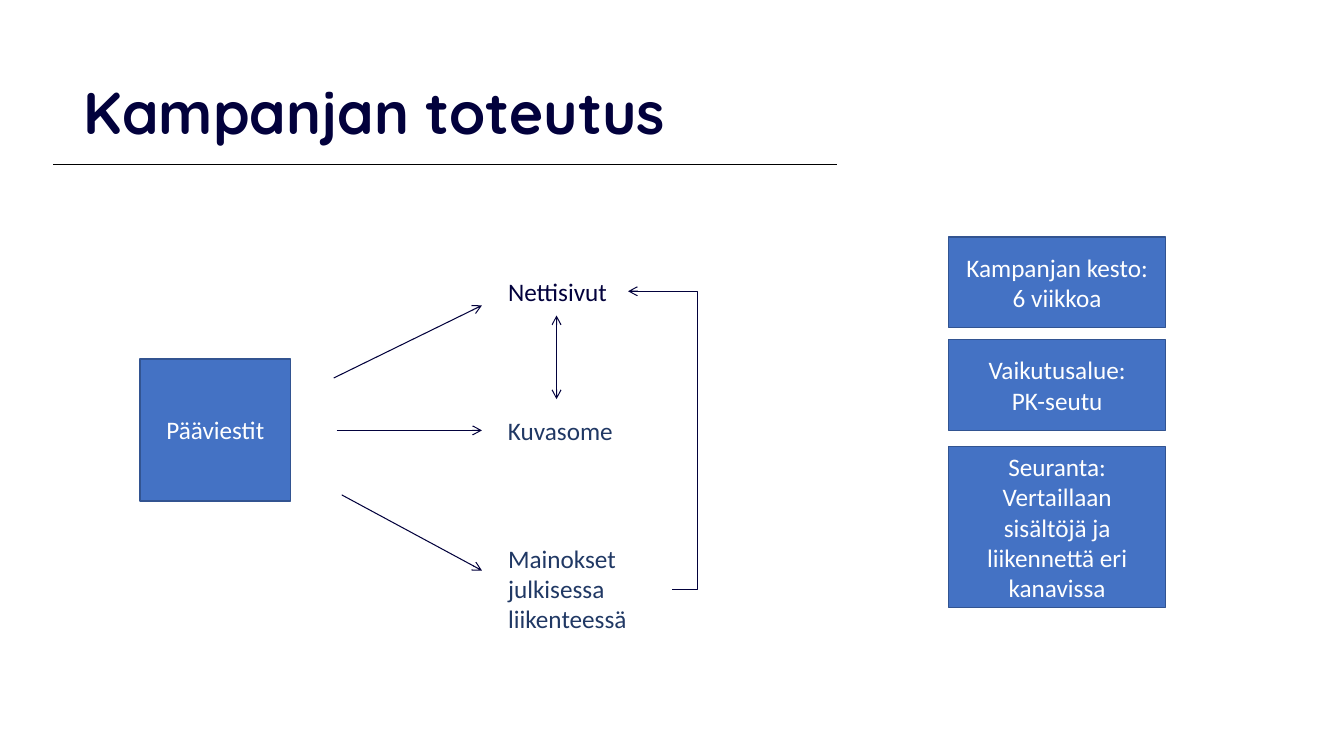
from dataclasses import dataclass

from lxml import etree
from pptx import Presentation
from pptx.dml.color import RGBColor
from pptx.enum import shapes, text
from pptx.oxml import ns
from pptx.util import Inches, Pt


@dataclass(frozen=True)
class Theme:
    navy: str = "02013C"
    blue: str = "203864"
    fill: str = "4472C4"
    edge: str = "325491"
    black: str = "000000"
    white: str = "FFFFFF"
    head: str = "Quicksand"
    body: str = "Calibri"
    big: int = 42
    size: int = 18


class Deck:
    def __init__(self, theme):
        self.theme = theme
        self.prs = Presentation()
        self.prs.slide_width = Inches(13.33)
        self.prs.slide_height = Inches(7.5)
        self.slide = self.prs.slides.add_slide(self.prs.slide_layouts[5])

    def put(self, frame, lines, color, align=text.PP_ALIGN.LEFT,
            anchor=text.MSO_ANCHOR.TOP, font=None, size=None, bold=False):
        frame.word_wrap = True
        frame.vertical_anchor = anchor
        for i, line in enumerate(lines):
            para = frame.add_paragraph() if i else frame.paragraphs[0]
            para.alignment = align
            run = para.add_run()
            run.text = line
            run.font.name = font or self.theme.body
            run.font.size = Pt(size or self.theme.size)
            run.font.bold = bold
            run.font.color.rgb = RGBColor.from_string(color)

    def title(self, line, x, y, w, h):
        shape = self.slide.shapes.title
        shape.left, shape.top, shape.width, shape.height = map(Inches, (x, y, w, h))
        self.put(shape.text_frame, [line], self.theme.navy,
                 anchor=text.MSO_ANCHOR.MIDDLE, font=self.theme.head,
                 size=self.theme.big, bold=True)
        shape.text_frame.paragraphs[0].line_spacing = 0.9

    def label(self, line, x, y, w, h, color):
        shape = self.slide.shapes.add_textbox(*map(Inches, (x, y, w, h)))
        self.put(shape.text_frame, [line], color)

    def box(self, lines, x, y, w, h):
        shape = self.slide.shapes.add_shape(
            shapes.MSO_SHAPE.RECTANGLE, *map(Inches, (x, y, w, h)))
        shape.shadow.inherit = False
        shape.fill.solid()
        shape.fill.fore_color.rgb = RGBColor.from_string(self.theme.fill)
        shape.line.color.rgb = RGBColor.from_string(self.theme.edge)
        shape.line.width = Pt(1)
        self.put(shape.text_frame, lines, self.theme.white,
                 text.PP_ALIGN.CENTER, text.MSO_ANCHOR.MIDDLE)

    def line(self, start, end, color, width=0.75, ends=(), bend=None):
        kind = shapes.MSO_CONNECTOR.STRAIGHT if bend is None else shapes.MSO_CONNECTOR.ELBOW
        link = self.slide.shapes.add_connector(kind, *map(Inches, (*start, *end)))
        link.line.color.rgb = RGBColor.from_string(color)
        link.line.width = Pt(width)
        props = link._element.spPr
        for tag in ends:
            etree.SubElement(props.find(ns.qn("a:ln")), ns.qn(tag), type="arrow")
        etree.SubElement(props, ns.qn("a:effectLst"))
        if bend is not None:
            geom = props.find(ns.qn("a:prstGeom"))
            guides = geom.find(ns.qn("a:avLst"))
            if guides is None:
                guides = etree.SubElement(geom, ns.qn("a:avLst"))
            etree.SubElement(guides, ns.qn("a:gd"), name="adj1",
                             fmla=f"val {round(bend * 100000)}")


def main():
    theme = Theme()
    deck = Deck(theme)

    # Title and rule
    deck.title("Kampanjan toteutus", 0.73, 0.42, 11.5, 1.45)
    deck.line((0.53, 1.63), (8.3, 1.63), theme.black, 0.5)

    # Main message and its channels
    deck.box(["Pääviestit"], 1.39, 3.56, 1.49, 1.41)
    for line, y, w, h, color in (
        ("Nettisivut", 2.69, 1.29, 0.4, theme.navy),
        ("Kuvasome", 4.07, 1.4, 0.4, theme.blue),
        ("Mainokset julkisessa liikenteessä", 5.34, 1.72, 1.01, theme.blue),
    ):
        deck.label(line, 4.94, y, w, h, color)

    # Arrows from the message to each channel
    tail = ("a:tailEnd",)
    for start, y in (((3.31, 3.75), 3.03), ((3.34, 4.27), 4.27), ((3.39, 4.91), 5.66)):
        deck.line(start, (4.78, y), theme.navy, ends=tail)

    # Arrows between channels
    deck.line((5.52, 3.96), (5.52, 3.13), theme.navy, ends=("a:headEnd", "a:tailEnd"))
    deck.line((6.67, 5.85), (6.23, 2.89), theme.navy, ends=tail, bend=-0.57)

    # Campaign facts
    for lines, y, h in (
        (["Kampanjan kesto: 6 viikkoa"], 2.35, 0.9),
        (["Vaikutusalue:", "PK-seutu"], 3.37, 0.9),
        (["Seuranta:", "Vertaillaan sisältöjä ja liikennettä eri kanavissa"], 4.43, 1.6),
    ):
        deck.box(lines, 9.41, y, 2.15, h)

    deck.prs.save("out.pptx")


if __name__ == "__main__":
    main()
